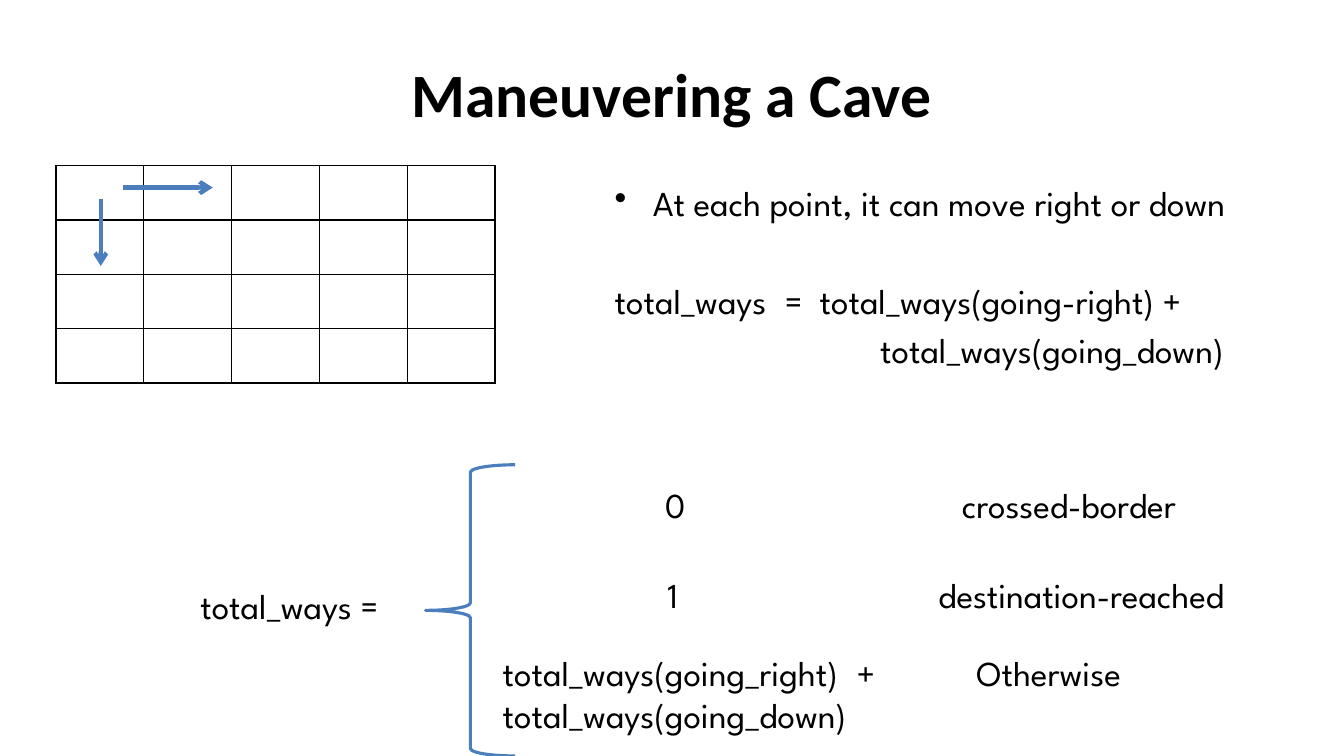
"""Build the slide on a cave walk and its count of ways."""
from lxml.etree import SubElement
from pptx import Presentation
from pptx.dml.color import RGBColor as Rgb
from pptx.enum.shapes import MSO_CONNECTOR as Conn, MSO_SHAPE as Kind
from pptx.enum.text import MSO_ANCHOR as Anchor, PP_ALIGN as Align
from pptx.oxml.ns import qn
from pptx.util import Inches, Pt

COLS, ROWS = 120, 67.5
WIDE, HIGH = Inches(13.33), Inches(7.5)
HUES = {"ink": "000000", "blue": "4B7EBC"}
HEAD, BODY = "Calibri", "League Spartan"
SIZE = 25


def hue(name):
    return Rgb.from_string(HUES[name])


def across(n):
    return round(WIDE * n / COLS)


def down(n):
    return round(HIGH * n / ROWS)


def place(x, y, w, h):
    return across(x), down(y), across(w), down(h)


def add_text(slide, area, lines, face=BODY, size=SIZE, bold=False):
    box = slide.shapes.add_textbox(*place(*area))
    frame = box.text_frame
    frame.word_wrap = True
    for i, line in enumerate(lines):
        para = frame.paragraphs[0] if i == 0 else frame.add_paragraph()
        para.text = line
        font = para.font
        font.name, font.size, font.bold = face, Pt(size), bold
        font.color.rgb = hue("ink")
    return frame


def set_tabs(para, stops):
    prop = para._p.get_or_add_pPr()
    tabs = prop.makeelement(qn("a:tabLst"), {})
    for stop in stops:
        SubElement(tabs, qn("a:tab"), pos=str(across(stop)), algn="l")
    prop.insert_element_before(tabs, "a:defRPr", "a:extLst")


def set_dot(para, step):
    prop = para._p.get_or_add_pPr()
    prop.set("marL", str(across(step)))
    prop.set("indent", str(-across(step)))
    dot = prop.makeelement(qn("a:buChar"), {"char": "•"})
    prop.insert_element_before(dot, "a:tabLst", "a:defRPr", "a:extLst")


def add_title(slide):
    frame = add_text(slide, (6, 2.7, 108, 11.25), ["Maneuvering a Cave"], HEAD, 44, True)
    frame.vertical_anchor = Anchor.MIDDLE
    frame.paragraphs[0].alignment = Align.CENTER


def add_rule(slide):
    frame = add_text(slide, (54, 15.75, 62, 20), [
        "At each point, it can move right or down",
        "total_ways\t=\ttotal_ways(going-right) +",
        "\ttotal_ways(going_down)",
    ])
    move, right, below = frame.paragraphs
    set_dot(move, 3.4)
    set_tabs(right, [15.2, 18.3])
    set_tabs(below, [23.7])
    right.space_before, below.space_before = Pt(40), Pt(5)


def add_case(slide, area, lines, stops):
    frame = add_text(slide, area, lines)
    set_tabs(frame.paragraphs[0], stops)


def edge(cell):
    prop = cell._tc.get_or_add_tcPr()
    for side in ("lnL", "lnR", "lnT", "lnB"):
        line = SubElement(prop, qn("a:" + side), w=str(Pt(1)))
        fill = SubElement(line, qn("a:solidFill"))
        SubElement(fill, qn("a:srgbClr"), val=HUES["ink"])


def add_cave(slide, rows, cols):
    table = slide.shapes.add_table(rows, cols, *place(5, 14.8, 39.2, 19.4)).table
    table.first_row = table.horz_banding = False
    for cell in table.iter_cells():
        edge(cell)
        cell.fill.background()


def add_brace(slide):
    brace = slide.shapes.add_shape(Kind.LEFT_BRACE, *place(38, 41.5, 8, 26))
    brace.shadow.inherit = False
    brace.fill.background()
    brace.line.color.rgb = hue("blue")
    brace.line.width = Pt(2.25)


def add_arrow(slide, x, y, to_x, to_y):
    arrow = slide.shapes.add_connector(
        Conn.STRAIGHT, across(x), down(y), across(to_x), down(to_y))
    arrow.line.color.rgb = hue("blue")
    arrow.line.width = Pt(3)
    SubElement(arrow.line._get_or_add_ln(), qn("a:tailEnd"), type="arrow")
    SubElement(arrow._element.spPr, qn("a:effectLst"))


def main():
    deck = Presentation()
    deck.slide_width, deck.slide_height = WIDE, HIGH
    slide = deck.slides.add_slide(deck.slide_layouts[6])
    add_title(slide)
    add_cave(slide, 4, 5)
    add_rule(slide)
    add_brace(slide)
    add_case(slide, (44, 57.75, 76, 8.5),
             ["total_ways(going_right)\t+\tOtherwise", "total_ways(going_down)"],
             [31.6, 42.3])
    add_text(slide, (17, 51.75, 39, 4.7), ["total_ways ="])
    add_case(slide, (48, 50.75, 72, 4.7), ["\t1\tdestination-reached"], [10.7, 34.9])
    add_case(slide, (42.3, 42.75, 72, 4.7), ["\t0\tcrossed-border"], [16.2, 42.7])
    add_arrow(slide, 9, 17.75, 9, 23.75)
    add_arrow(slide, 11, 16.75, 19, 16.75)
    deck.save("out.pptx")


if __name__ == "__main__":
    main()
